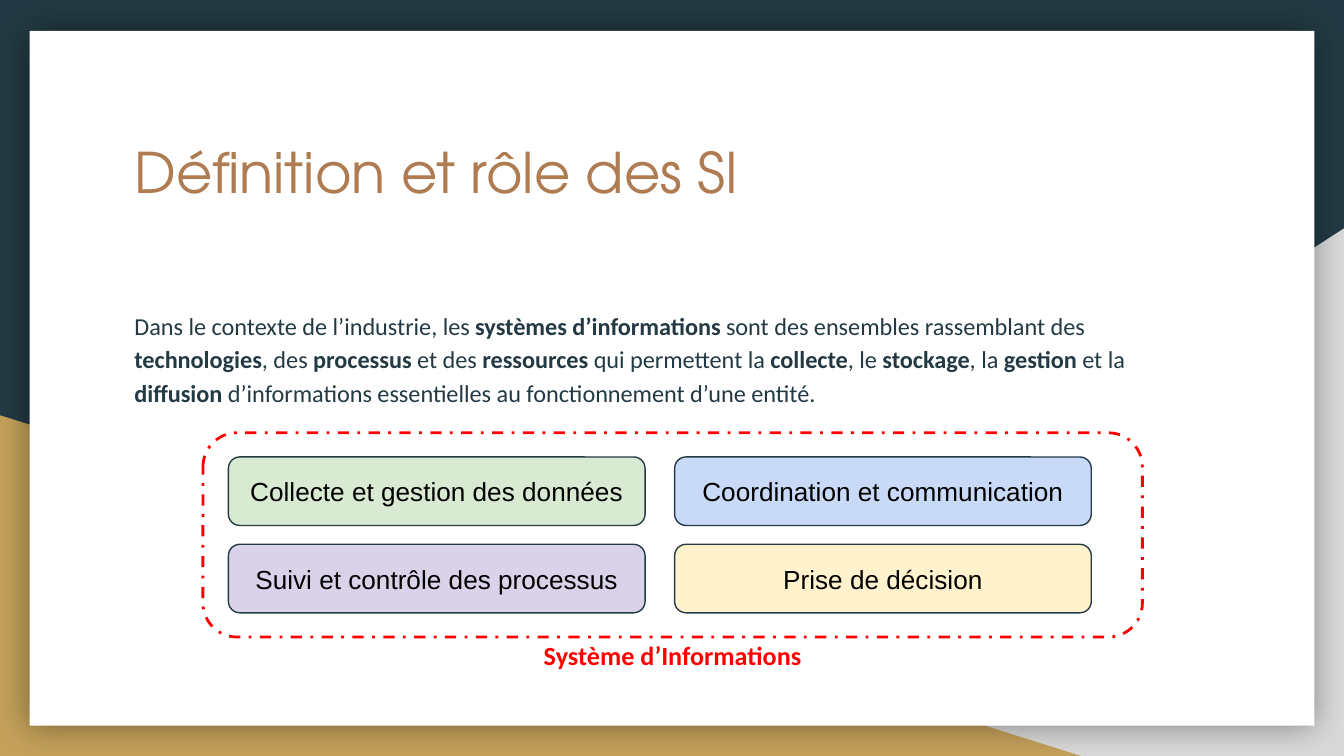
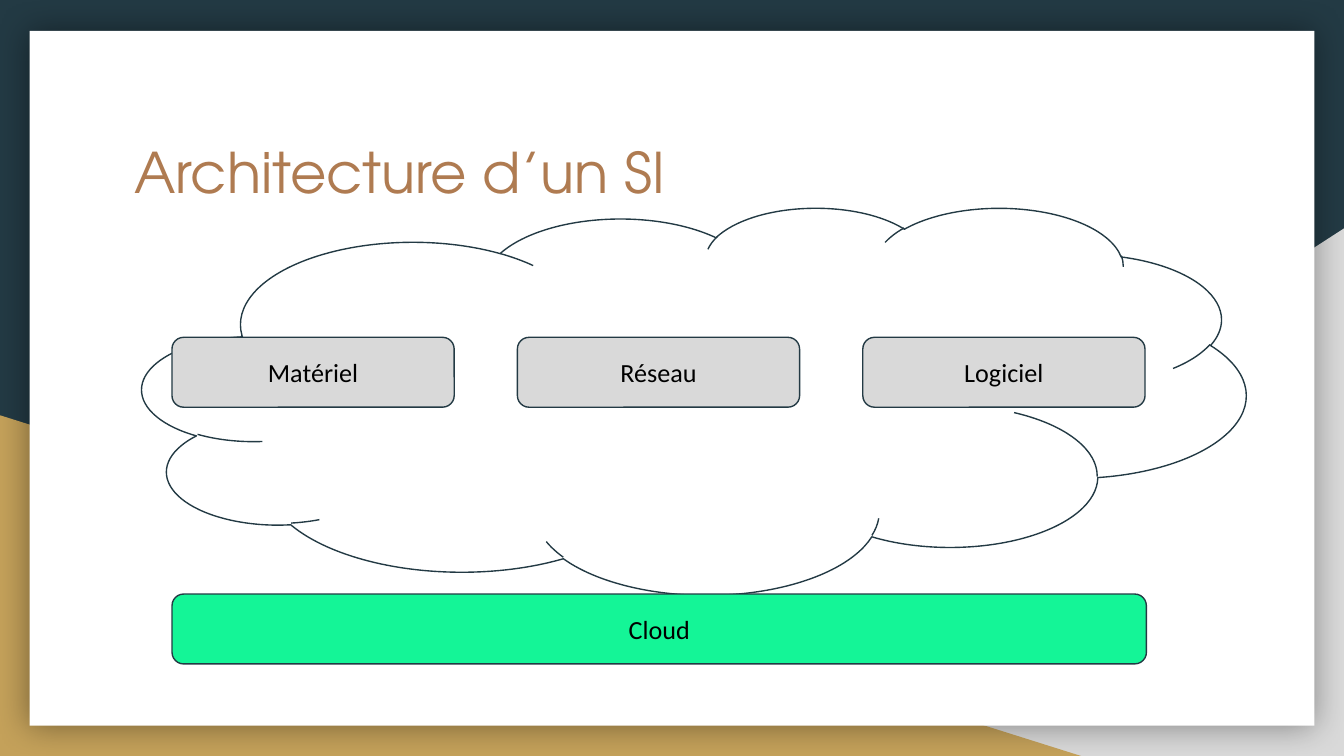
import pptx
import pptx.util
import pptx.oxml
import pptx.dml.color
import pptx.enum.dml
import pptx.enum.shapes
import pptx.enum.text
import pptx.oxml.ns

Inches = pptx.util.Inches
Pt = pptx.util.Pt
RGB = pptx.dml.color.RGBColor
Shape = pptx.enum.shapes.MSO_SHAPE
Align = pptx.enum.text.PP_ALIGN
Anchor = pptx.enum.text.MSO_ANCHOR
Fit = pptx.enum.text.MSO_AUTO_SIZE

NAVY = RGB(0x23, 0x3A, 0x44)
GOLD = RGB(0xC4, 0xA1, 0x5A)
GREY = RGB(0xD9, 0xD9, 0xD9)
WHITE = RGB(0xFF, 0xFF, 0xFF)
BLACK = RGB(0, 0, 0)
BROWN = RGB(0xAF, 0x7B, 0x51)
RED = RGB(0xFF, 0, 0)
MINT = RGB(0x14, 0xF5, 0x97)
SAGE = RGB(0xD9, 0xEA, 0xD3)
LILAC = RGB(0xD9, 0xD2, 0xE9)
SKY = RGB(0xC9, 0xDA, 0xF8)
CREAM = RGB(0xFF, 0xF2, 0xCC)

HEAD = (0.9, 0.92, 8.21, 1.04)
BODY = (0.9, 2.18, 8.21, 1.04)

# Bold words stand between asterisks
INTRO = (
    "Dans le contexte de l’industrie, les *systèmes d’informations *sont des "
    "ensembles rassemblant des *technologies*, des *processus* et des "
    "*ressources* qui permettent la *collecte*, le *stockage*, la *gestion* "
    "et la *diffusion* d’informations essentielles au fonctionnement d’une entité."
)


def style(par, face, size, color, align, bold=None):
    par.alignment = align
    font = par.font
    font.name, font.size, font.bold = face, Pt(size), bold
    font.color.rgb = color


def pad(frame, anchor):
    frame.word_wrap = True
    frame.auto_size = Fit.NONE
    frame.vertical_anchor = anchor
    frame.margin_left = frame.margin_right = Inches(0.1)
    frame.margin_top = frame.margin_bottom = Inches(0.1)


def draw(slide, kind, box, fill=None, line=None, width=0.75):
    shape = slide.shapes.add_shape(kind, *map(Inches, box))
    shape.shadow.inherit = False
    if fill is None:
        shape.fill.background()
    else:
        shape.fill.solid()
        shape.fill.fore_color.rgb = fill
    if line is None:
        shape.line.fill.background()
    else:
        shape.line.color.rgb = line
        shape.line.width = Pt(width)
    return shape


def label(slide, box, text, fill, face):
    shape = draw(slide, Shape.ROUNDED_RECTANGLE, box, fill, NAVY)
    pad(shape.text_frame, Anchor.MIDDLE)
    par = shape.text_frame.paragraphs[0]
    par.text = text
    style(par, face, 14, BLACK, Align.CENTER)


def place(holder, box):
    holder.left, holder.top, holder.width, holder.height = map(Inches, box)
    pad(holder.text_frame, Anchor.TOP)
    return holder.text_frame.paragraphs[0]


def title(slide, text):
    par = place(slide.shapes.title, HEAD)
    par.text = text
    style(par, "TeX Gyre Adventor", 30, BROWN, Align.LEFT)


def intro(slide, box):
    par = place(slide.placeholders[1], box)
    props = par._p.get_or_add_pPr()
    props.set("marL", "0")
    props.set("indent", "0")
    par.line_spacing = 1.15
    par.space_before, par.space_after = Pt(0), Pt(12)
    props.append(pptx.oxml.parse_xml(
        f"<a:buNone {pptx.oxml.ns.nsdecls('a')}/>"))
    style(par, "Calibri", 13, NAVY, Align.LEFT)
    for i, part in enumerate(INTRO.split("*")):
        run = par.add_run()
        run.text = part
        run.font.bold = i % 2 == 1


def backdrop(deck, slide):
    """Draw the shared scenery, then move it to the slide master."""
    master = deck.slide_master
    master.background.fill.solid()
    master.background.fill.fore_color.rgb = NAVY
    right = draw(slide, Shape.RIGHT_TRIANGLE, (3.92, 1.7, 6.08, 3.93), GREY)
    right.element.spPr.xfrm.set("flipH", "1")
    left = draw(slide, Shape.RIGHT_TRIANGLE, (0, 3.09, 8.06, 2.54), GOLD)
    page = draw(slide, Shape.RECTANGLE, (0.22, 0.23, 9.56, 5.17), WHITE)
    glow = pptx.oxml.parse_xml(
        f'<a:outerShdw {pptx.oxml.ns.nsdecls("a")} blurRad="{Pt(18)}" dist="0" dir="0">'
        '<a:srgbClr val="000000"><a:alpha val="40000"/></a:srgbClr></a:outerShdw>')
    page.element.spPr.find(pptx.oxml.ns.qn("a:effectLst")).append(glow)
    for i, shape in enumerate((right, left, page)):
        shape.element.nvSpPr.cNvPr.set("id", str(100 + i))
        master.shapes.element.insert(2 + i, shape.element)


def system(slide, box):
    """Dashed frame with a two by two grid of roles and a caption."""
    x, y, w, h = box
    frame = draw(slide, Shape.ROUNDED_RECTANGLE, box, line=RED, width=1.5)
    frame.line.dash_style = pptx.enum.dml.MSO_LINE.DASH_DOT
    roles = [
        ("Collecte et gestion des données", SAGE),
        ("Suivi et contrôle des processus", LILAC),
        ("Coordination et communication", SKY),
        ("Prise de décision", CREAM),
    ]
    for i, (text, fill) in enumerate(roles):
        col, row = divmod(i, 2)
        cell = (x + 0.19 + col * 3.32, y + 0.18 + row * 0.65, 3.1, 0.51)
        label(slide, cell, text, fill, "Arial")
    # Caption under the frame
    note = slide.shapes.add_textbox(
        *map(Inches, (x + (w - 3.23) / 2, y + h - 0.08, 3.23, 0.44)))
    pad(note.text_frame, Anchor.TOP)
    note.text_frame.auto_size = Fit.SHAPE_TO_FIT_TEXT
    par = note.text_frame.paragraphs[0]
    par.text = "Système d’Informations"
    style(par, "Calibri", 14, RED, Align.CENTER, True)


def layers(slide, box):
    """Cloud holding three parts, with a base bar beneath."""
    x, y, w, h = box
    draw(slide, Shape.CLOUD, box, line=NAVY)
    for i, text in enumerate(("Matériel", "Réseau", "Logiciel")):
        cell = (x + 0.22 + i * 2.57, y + 0.97, 2.1, 0.52)
        label(slide, cell, text, GREY, "Calibri")
    label(slide, (x + 0.22, y + h, 7.25, 0.52), "Cloud", MINT, "Calibri")


def main():
    deck = pptx.Presentation()
    deck.slide_width = Inches(10)
    deck.slide_height = deck.slide_width * 9 // 16

    # Definition
    slide = deck.slides.add_slide(deck.slide_layouts[1])
    backdrop(deck, slide)
    title(slide, "Définition et rôle des SI")
    intro(slide, BODY)
    system(slide, (1.51, 3.22, 6.99, 1.52))

    # Architecture
    slide = deck.slides.add_slide(deck.slide_layouts[5])
    title(slide, "Architecture d’un SI")
    layers(slide, (1.06, 1.54, 8.21, 2.88))

    deck.save("out.pptx")


if __name__ == "__main__":
    main()
